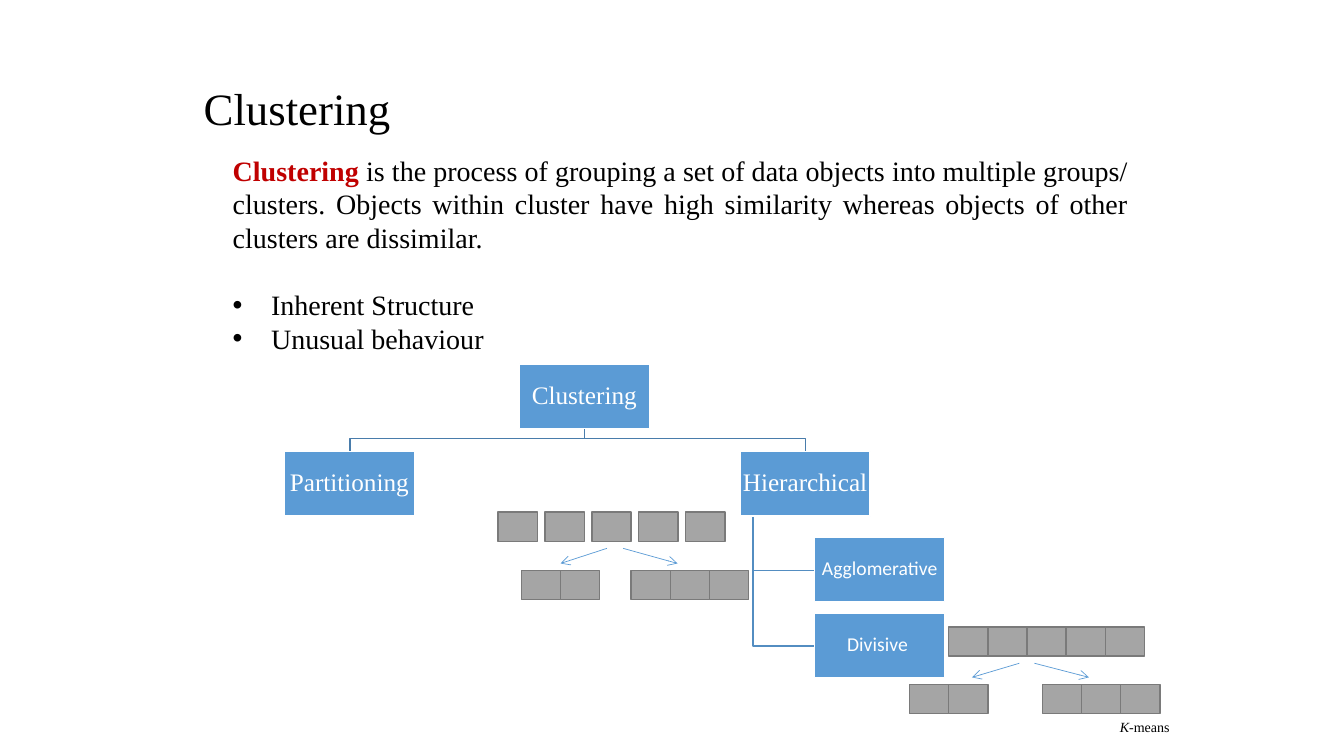
from typing import NamedTuple

from lxml.etree import SubElement
from pptx import Presentation
from pptx.dml.color import RGBColor
from pptx.enum.shapes import MSO_CONNECTOR, MSO_SHAPE
from pptx.enum.text import MSO_ANCHOR, MSO_AUTO_SIZE, PP_ALIGN
from pptx.oxml.ns import qn
from pptx.util import Inches, Pt

COLORS = {"text": "000000", "accent": "C00000", "node": "5B9BD5", "white": "FFFFFF",
          "branch": "497CAB", "twig": "538DC1", "cell": "A5A5A5", "edge": "7A7A7A"}
SERIF, SANS = "Times New Roman", "Calibri"
NODE_W, NODE_H = 1.29, 0.64
CELL_W, CELL_H = 0.39, 0.29
STEP = 0.388


class Node(NamedTuple):
    text: str
    left: float
    top: float
    size: int = 18
    face: str = SERIF


class Row(NamedTuple):
    left: float
    top: float
    count: int
    step: float = STEP


class Line(NamedTuple):
    points: list
    color: str


class Arrow(NamedTuple):
    x1: float
    y1: float
    x2: float
    y2: float


NODES = [
    Node("Clustering", 5.15, 3.61),
    Node("Partitioning", 2.82, 4.48),
    Node("Hierarchical", 7.34, 4.48),
    Node("Divisive ", 8.08, 6.08, 14, SANS),
    Node("Agglomerative", 8.08, 5.33, 14, SANS),
]
LINES = [Line([(7.47, 5.13), (7.47, y), (8.08, y)], "twig") for y in (5.66, 6.41)]
LINES += [Line([(5.8, 4.26), (5.8, 4.35), (x, 4.35), (x, 4.48)], "branch")
          for x in (7.99, 3.47)]
ROWS = [
    Row(9.41, 6.22, 5), Row(9.02, 6.79, 2), Row(10.34, 6.79, 3),
    Row(4.94, 5.08, 5, 0.465), Row(5.17, 5.66, 2), Row(6.26, 5.66, 3),
]
ARROWS = [
    Arrow(10.11, 6.58, 9.64, 6.72), Arrow(10.26, 6.58, 10.8, 6.72),
    Arrow(6.02, 5.44, 5.56, 5.59), Arrow(6.18, 5.44, 6.72, 5.59),
]


def rgb(name: str) -> RGBColor:
    return RGBColor.from_string(COLORS[name])


def style(run, size: int, color: str = "text", face: str = SERIF) -> None:
    run.font.size, run.font.name = Pt(size), face
    run.font.color.rgb = rgb(color)


def place(shape, left: float, top: float, width: float, height: float) -> None:
    shape.left, shape.top = Inches(left), Inches(top)
    shape.width, shape.height = Inches(width), Inches(height)


def add_box(slide, left: float, top: float, width: float, height: float,
            fill: str, edge: str):
    box = slide.shapes.add_shape(MSO_SHAPE.RECTANGLE, Inches(left), Inches(top),
                                 Inches(width), Inches(height))
    box.shadow.inherit = False
    box.fill.solid()
    box.fill.fore_color.rgb = rgb(fill)
    box.line.color.rgb = rgb(edge)
    box.line.width = Pt(1)
    return box


def add_node(slide, node: Node) -> None:
    box = add_box(slide, node.left, node.top, NODE_W, NODE_H, "node", "white")
    frame = box.text_frame
    frame.margin_left = frame.margin_right = Inches(0.01)
    frame.margin_top = frame.margin_bottom = Inches(0.01)
    frame.vertical_anchor = MSO_ANCHOR.MIDDLE
    frame.text = node.text
    para = frame.paragraphs[0]
    para.alignment, para.line_spacing = PP_ALIGN.CENTER, 0.9
    style(para.runs[0], node.size, "white", node.face)


def add_row(slide, row: Row) -> None:
    for i in range(row.count):
        add_box(slide, row.left + i * row.step, row.top, CELL_W, CELL_H, "cell", "edge")


def add_line(slide, line: Line) -> None:
    points = [(Inches(x), Inches(y)) for x, y in line.points]
    form = slide.shapes.build_freeform(*points[0])
    form.add_line_segments(points[1:], close=False)
    shape = form.convert_to_shape()
    shape.shadow.inherit = False
    shape.fill.background()
    shape.line.color.rgb = rgb(line.color)
    shape.line.width = Pt(1)


def add_arrow(slide, arrow: Arrow) -> None:
    link = slide.shapes.add_connector(MSO_CONNECTOR.STRAIGHT,
                                      *(Inches(v) for v in arrow))
    link.line.color.rgb = rgb("node")
    link.line.width = Pt(0.5)
    SubElement(link.line._get_or_add_ln(), qn("a:tailEnd"), type="arrow")
    SubElement(link._element.spPr, qn("a:effectLst"))


def add_title(slide) -> None:
    title = slide.shapes.title
    place(title, 1.92, 0.75, 10, 0.64)
    frame = title.text_frame
    frame.text = "Clustering"
    frame.auto_size = MSO_AUTO_SIZE.NONE
    frame.vertical_anchor = MSO_ANCHOR.TOP
    frame.paragraphs[0].alignment = PP_ALIGN.LEFT
    style(frame.paragraphs[0].runs[0], 32)


def add_body(slide) -> None:
    box = slide.shapes.add_textbox(Inches(2.21), Inches(1.46), Inches(9.08), Inches(2.12))
    frame = box.text_frame
    frame.word_wrap = True
    frame.vertical_anchor = MSO_ANCHOR.MIDDLE
    intro = frame.paragraphs[0]
    intro.alignment = PP_ALIGN.JUSTIFY
    term = intro.add_run()
    term.text = "Clustering"
    style(term, 20, "accent")
    term.font.bold = True
    rest = intro.add_run()
    rest.text = (" is the process of grouping a set of data objects into multiple groups/ "
                 "clusters. Objects within cluster have high similarity whereas objects "
                 "of other clusters are dissimilar. ")
    style(rest, 20)
    # Bullets, set apart from the definition by one line
    for i, text in enumerate(("Inherent Structure", "Unusual behaviour")):
        para = frame.add_paragraph()
        para.text = text
        para.alignment = PP_ALIGN.JUSTIFY
        para.space_before = Pt(0 if i else 24)
        props = para._p.get_or_add_pPr()
        props.set("marL", str(Inches(0.38)))
        props.set("indent", str(-Inches(0.38)))
        SubElement(props, qn("a:buFont"), typeface="Arial")
        SubElement(props, qn("a:buChar"), char="•")
        style(para.runs[0], 20)


def add_note(slide) -> None:
    box = slide.shapes.add_textbox(Inches(11.01), Inches(7.08), Inches(0.74), Inches(0.27))
    box.text_frame.word_wrap = True
    para = box.text_frame.paragraphs[0]
    for text, slant in (("K", True), ("-means", False)):
        run = para.add_run()
        run.text = text
        style(run, 10)
        run.font.italic = slant


def main() -> None:
    deck = Presentation()
    deck.slide_width, deck.slide_height = Inches(13.33), Inches(7.5)
    slide = deck.slides.add_slide(deck.slide_layouts[5])
    # Text
    add_title(slide)
    add_body(slide)
    # Tree of methods
    for line in LINES:
        add_line(slide, line)
    for node in NODES:
        add_node(slide, node)
    # Split and merge sketches
    for arrow in ARROWS:
        add_arrow(slide, arrow)
    for row in ROWS:
        add_row(slide, row)
    add_note(slide)
    deck.save("out.pptx")


if __name__ == "__main__":
    main()
